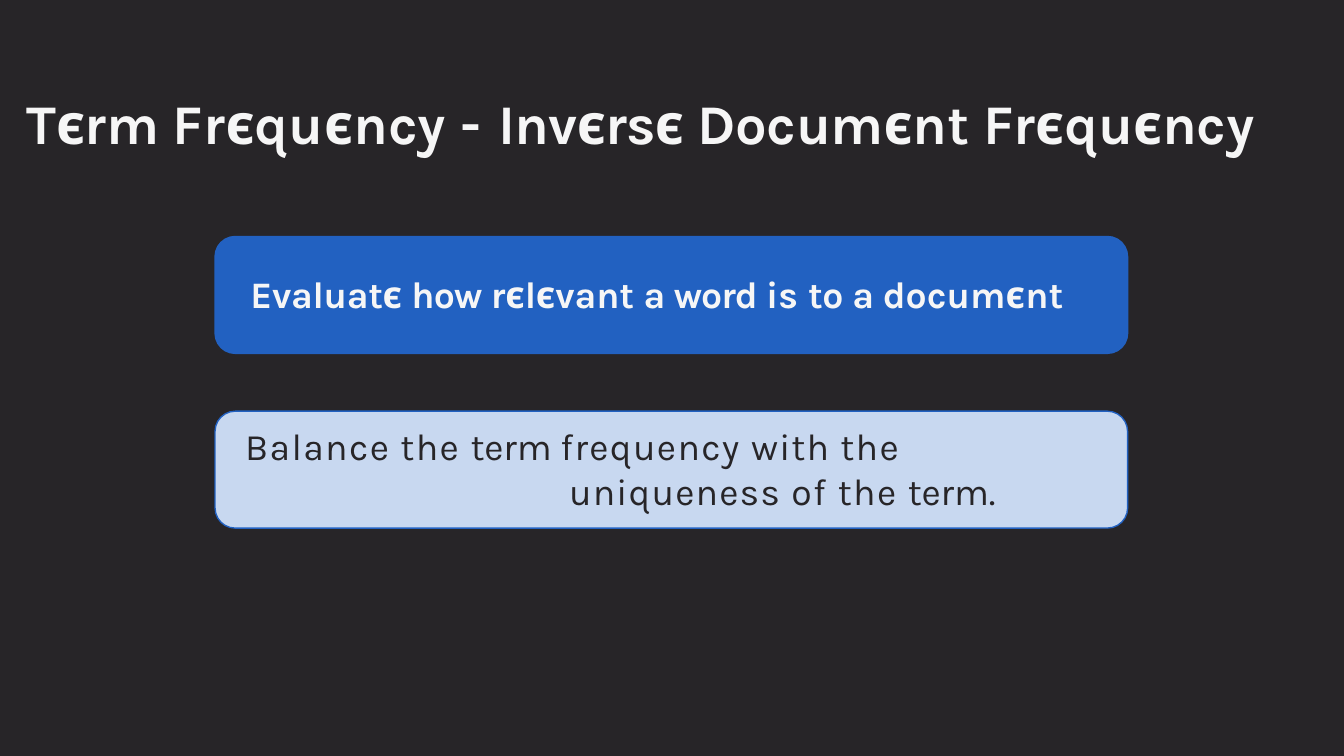
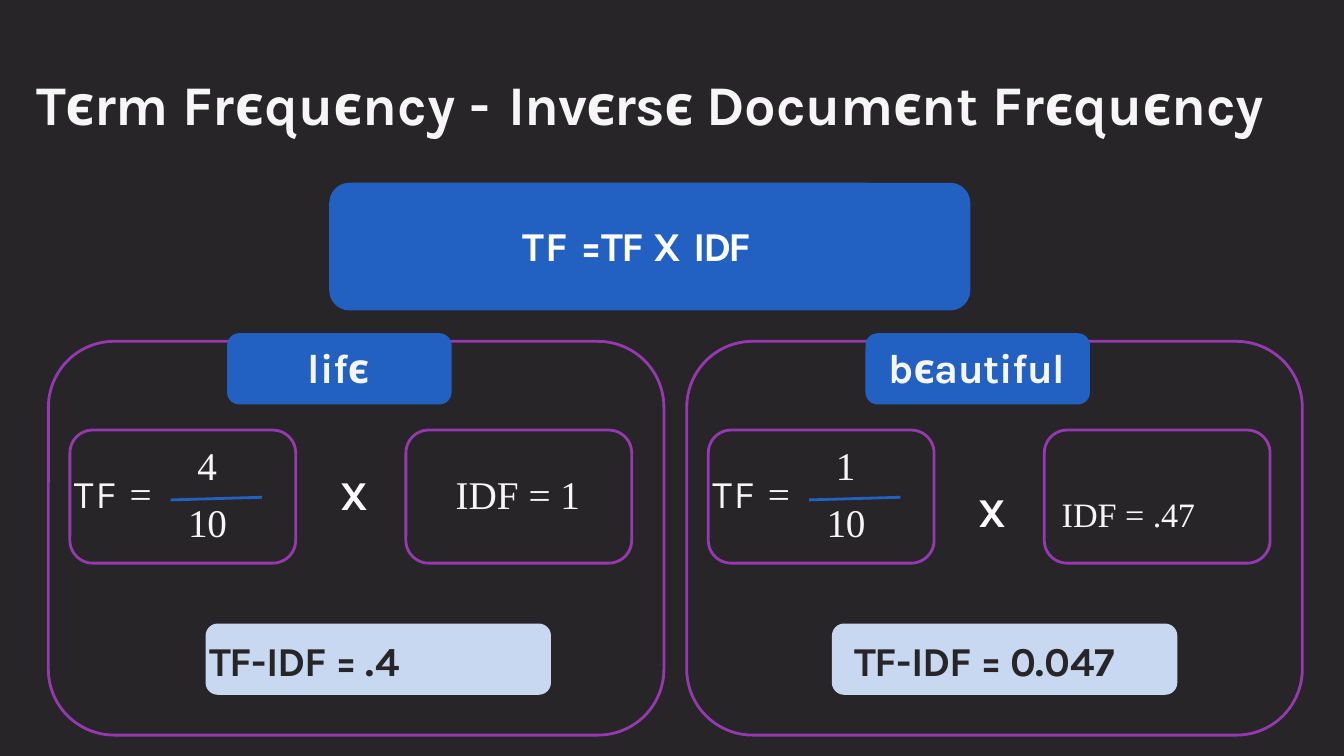
from dataclasses import dataclass

from lxml import etree
from pptx import Presentation
from pptx.dml.color import RGBColor
from pptx.enum.shapes import MSO_CONNECTOR, MSO_SHAPE
from pptx.enum.text import MSO_ANCHOR, PP_ALIGN
from pptx.oxml.ns import qn
from pptx.util import Inches, Pt

ROUNDED = MSO_SHAPE.ROUNDED_RECTANGLE
STRAIGHT = MSO_CONNECTOR.STRAIGHT
MIDDLE = MSO_ANCHOR.MIDDLE
LEFT, CENTER = PP_ALIGN.LEFT, PP_ALIGN.CENTER


@dataclass(frozen=True)
class Theme:
    dark: str = "272528"
    light: str = "F6F6F6"
    white: str = "FFFFFF"
    blue: str = "2261C1"
    pale: str = "C8D8F0"
    purple: str = "9639B1"
    sans: str = "Karla"
    serif: str = "Times New Roman"
    title: float = 30
    body: float = 20
    label: float = 22
    math: float = 21
    raised: float = 31.5


T = Theme()


@dataclass(frozen=True)
class Style:
    size: float
    color: str
    font: str = T.sans
    bold: bool = False
    baseline: int = 0


TITLE = Style(T.title, T.light, bold=True)
LEAD = Style(T.body, T.light, bold=True)
NOTE = Style(T.body, T.dark)
TAG = Style(T.label, T.light, bold=True)
FORMULA = Style(T.label, T.white, bold=True)
RESULT = Style(T.label, T.dark, bold=True)
SYMBOL = Style(T.math, T.light)
MATH = Style(T.math, T.light, T.serif)
RAISED = Style(T.raised, T.light, T.serif, baseline=1000)

# Each run is (text, letter spacing in points) with an optional style
HEADING = [("Tєrm ", -0.3), ("Frєquєncy ", 0), ("- ", 0.9),
           ("Invєrsє ", -0.5), ("Documєnt ", -0.2), ("Frєquєncy", -0.1)]
LEAD_RUNS = [("Evaluatє ", -0.2), ("how ", -0.5), ("rєlєvant ", -0.1),
             ("a ", -0.5), ("word ", -0.6), ("is ", 0.1), ("to ", -0.3),
             ("a ", -0.5), ("documєnt", 0)]
NOTE_RUNS = [("Balance the ", 0.7), ("term ", -0.1), ("frequency ", 0.7),
             ("with ", 0.6), ("the ", 0.7), ("uniqueness ", 0.6),
             ("of ", 0.8), ("the ", 0.7), ("term.", -0.1)]
FORMULA_RUNS = [("TF ", 0.6), ("=TF ", -0.7), ("X ", 0.6), ("IDF", -1.5)]
RESULT_START = [("TF-", -0.6), ("IDF ", -0.7), ("= ", -1.6)]


def rgb(color):
    return RGBColor.from_string(color)


def write(tf, runs, style, align=LEFT, inset=0.01, right=0, bottom=0):
    tf.word_wrap = True
    tf.margin_left, tf.margin_right = Inches(inset), Inches(right)
    tf.margin_top, tf.margin_bottom = Inches(0.01), Inches(bottom)
    p = tf.paragraphs[0]
    p.alignment = align
    p.space_before = Pt(1)
    for text, spacing, *own in runs:
        look = own[0] if own else style
        r = p.add_run()
        r.text = text
        r.font.name, r.font.size = look.font, Pt(look.size)
        r.font.bold = look.bold
        r.font.color.rgb = rgb(look.color)
        props = r.font._element
        props.set("spc", str(round(spacing * 100)))
        if look.baseline:
            props.set("baseline", str(look.baseline))
    return p


def add_text(s, x, y, w, h, runs, style):
    sp = s.shapes.add_textbox(Inches(x), Inches(y), Inches(w), Inches(h))
    return write(sp.text_frame, runs, style)


def add_box(s, x, y, w, h, radius, fill=None, line=None, width=1.5):
    sp = s.shapes.add_shape(ROUNDED, Inches(x), Inches(y), Inches(w), Inches(h))
    sp.shadow.inherit = False
    sp.adjustments[0] = radius / min(w, h)
    if fill:
        sp.fill.solid()
        sp.fill.fore_color.rgb = rgb(fill)
    else:
        sp.fill.background()
    if line:
        sp.line.color.rgb = rgb(line)
        sp.line.width = Pt(width)
    else:
        sp.line.fill.background()
    sp.text_frame.vertical_anchor = MIDDLE
    return sp


def add_titled_slide(prs, x, y):
    s = prs.slides.add_slide(prs.slide_layouts[6])
    s.background.fill.solid()
    s.background.fill.fore_color.rgb = rgb(T.dark)
    add_text(s, x, y, 9.65, 0.53, HEADING, TITLE)
    return s


def add_statement(s, x, y, fill, runs, style, inset):
    """Wide bar that holds one sentence."""
    sp = add_box(s, x, y, 6.79, 0.87, 0.15, fill, T.blue, 0.75)
    return write(sp.text_frame, runs, style, inset=inset, right=0.17, bottom=0.03)


def add_fraction(s, x, y, top):
    """Card with TF = top / 10."""
    add_text(s, x + 0.02, y + 0.28, 0.62, 0.38,
             [("TF ", 1.1), ("=", -0.6, MATH)], SYMBOL)
    add_text(s, x + 0.94, y + 0.07, 0.17, 0.38, [(top, -0.5)], MATH)
    add_text(s, x + 0.87, y + 0.5, 0.32, 0.38, [("10", -0.2)], MATH)
    bar = s.shapes.add_connector(STRAIGHT, Inches(x + 0.75), Inches(y + 0.52),
                                 Inches(x + 1.43), Inches(y + 0.5))
    bar.line.color.rgb = rgb(T.blue)
    bar.line.width = Pt(1.5)
    etree.SubElement(bar._element.spPr, qn("a:effectLst"))


def add_word_panel(s, x, y, word, top, result, result_x, result_inset):
    """Framed panel: word tag, TF card, IDF card and result bar."""
    add_box(s, x, y, 4.58, 2.93, 0.49, line=T.purple)
    tag = add_box(s, x + 1.33, y - 0.06, 1.67, 0.53, 0.09, T.blue)
    write(tag.text_frame, [(word, -0.2)], TAG, CENTER, right=0.02, bottom=0.03)
    for card_x in (0.16, 2.66):
        add_box(s, x + card_x, y + 0.66, 1.68, 0.99, 0.17, line=T.purple)
    add_fraction(s, x + 0.16, y + 0.66, top)
    bar = add_box(s, x + result_x, y + 2.1, 2.57, 0.53, 0.09, T.pale)
    write(bar.text_frame, RESULT_START + [result], RESULT, inset=result_inset)


def add_tab(p, position):
    tabs = etree.SubElement(p._p.get_or_add_pPr(), qn("a:tabLst"))
    etree.SubElement(tabs, qn("a:tab"), pos=str(Inches(position)), algn="l")


def definition_slide(prs):
    s = add_titled_slide(prs, 0.19, 0.65)
    add_statement(s, 1.6, 1.76, T.blue, LEAD_RUNS, LEAD, 0.22)
    p = add_statement(s, 1.6, 3.06, T.pale, NOTE_RUNS, NOTE, 0.17)
    # Second line hangs to the right of the first
    props = p._p.get_or_add_pPr()
    props.set("marL", str(Inches(2.42)))
    props.set("indent", str(Inches(-2.41)))


def example_slide(prs):
    s = add_titled_slide(prs, 0.26, 0.51)
    formula = add_box(s, 2.45, 1.36, 4.77, 0.95, 0.15, T.blue)
    write(formula.text_frame, FORMULA_RUNS, FORMULA, CENTER, right=0.2, bottom=0.03)

    left, pitch, top = 0.36, 4.75, 2.54
    right = left + pitch
    add_word_panel(s, left, top, "lifє", "4", (".4", 0.6), 1.17, 0)
    add_word_panel(s, right, top, "bєautiful", "1", ("0.047", -0.1), 1.08, 0.14)

    # Multiplication sign and IDF value of each panel
    add_text(s, left + 2.16, top + 0.94, 0.25, 0.39, [("X", 0.1)], FORMULA)
    add_text(s, left + 3.02, top + 0.95, 0.95, 0.38,
             [("IDF = ", 0), ("1", -0.5)], MATH)
    p = add_text(s, right + 2.16, top + 0.94, 2.07, 0.39,
                 [("X\t", 0.1), ("IDF = ", 0, RAISED), (".47", -0.1, RAISED)],
                 FORMULA)
    add_tab(p, 0.62)


def main():
    prs = Presentation()
    # Widescreen, 16:9
    prs.slide_width = Inches(10)
    prs.slide_height = prs.slide_width * 9 // 16
    definition_slide(prs)
    example_slide(prs)
    prs.save("out.pptx")


if __name__ == "__main__":
    main()
